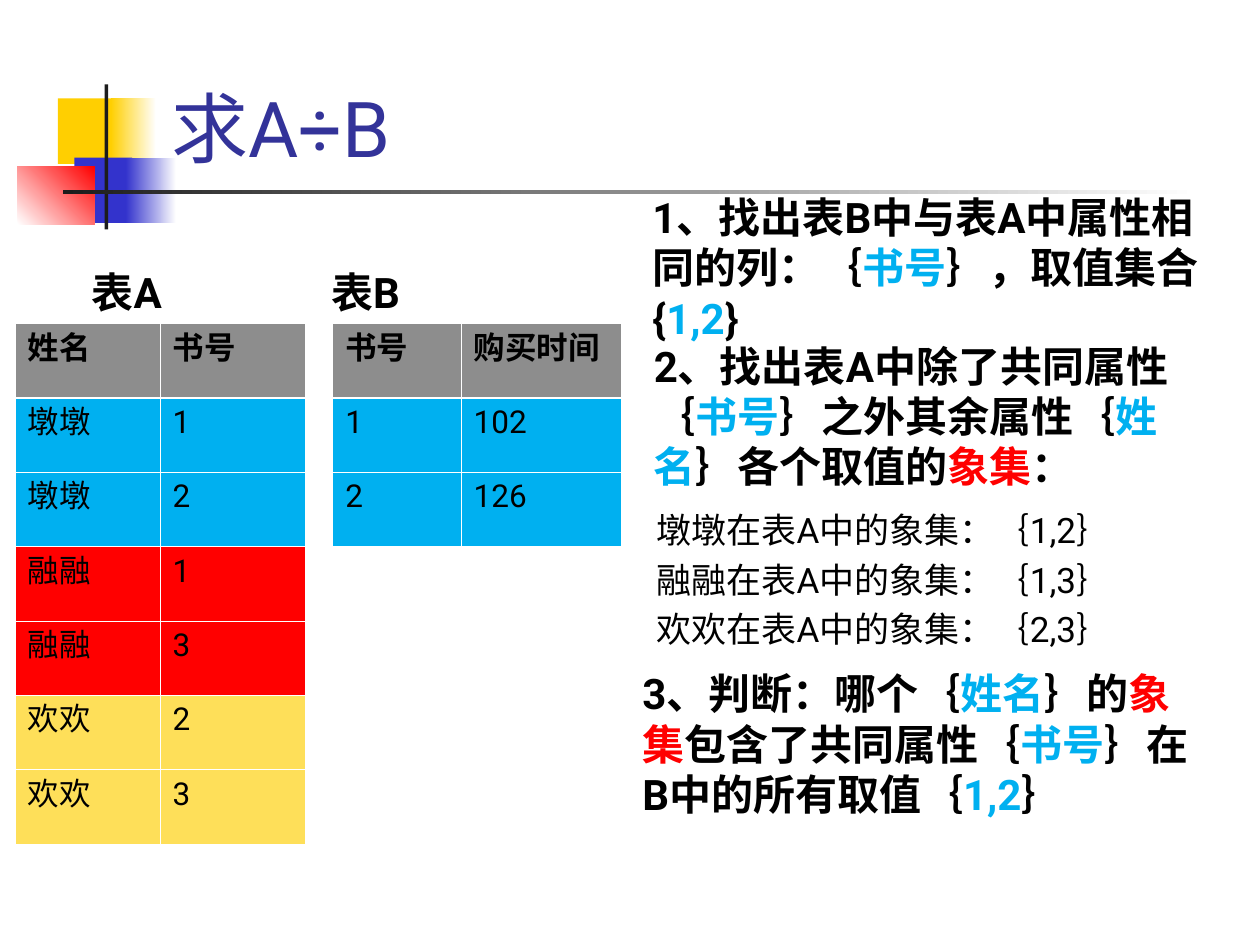
from dataclasses import dataclass
from typing import NamedTuple, Optional

from lxml import etree
from pptx import Presentation
from pptx.dml.color import RGBColor
from pptx.enum.shapes import MSO_SHAPE
from pptx.enum.text import MSO_ANCHOR, MSO_AUTO_SIZE
from pptx.oxml.ns import qn
from pptx.util import Inches, Pt

RECTANGLE = MSO_SHAPE.RECTANGLE
TOP, BOTTOM = MSO_ANCHOR.TOP, MSO_ANCHOR.BOTTOM
GROW, FIXED = MSO_AUTO_SIZE.SHAPE_TO_FIT_TEXT, MSO_AUTO_SIZE.NONE

SLIDE_WIDTH, SLIDE_HEIGHT = Inches(10), Inches(7.5)
COLUMNS, ROWS = 100, 75


@dataclass(frozen=True)
class Theme:
    font: str = "Roboto"
    title_size: int = 44
    body_size: int = 24
    detail_size: int = 20
    table_size: int = 18
    thin: float = 0.45
    thick: float = 1.47
    title: str = "333399"
    black: str = "000000"
    white: str = "FFFFFF"
    charcoal: str = "1C1C1C"
    gold: str = "FFCF01"
    indigo: str = "3333CC"
    red: str = "FF0000"
    blue: str = "00B0F0"
    yellow: str = "FEDF59"
    gray: str = "8D8D8D"


THEME = Theme()


class Area(NamedTuple):
    """Left, top, width and height in grid columns and rows."""
    left: float
    top: float
    width: float
    height: float

    def lengths(self) -> tuple:
        across, down = SLIDE_WIDTH / COLUMNS, SLIDE_HEIGHT / ROWS
        return (round(self.left * across), round(self.top * down),
                round(self.width * across), round(self.height * down))


class Block(NamedTuple):
    area: Area
    colour: str
    fade_to: Optional[str] = None
    angle: float = 0


class Span(NamedTuple):
    text: str
    colour: str = THEME.black


class Record(NamedTuple):
    values: tuple
    colour: str


class Relation(NamedTuple):
    name: str
    label_left: float
    left: float
    widths: tuple
    header: tuple
    records: list


class Step(NamedTuple):
    area: Area
    spans: list


BLOCKS = [
    Block(Area(4.6, 7.8, 4.8, 5.2), THEME.gold),
    Block(Area(8.8, 7.8, 3.6, 5.2), THEME.gold, THEME.white),
    Block(Area(5.9, 12.5, 4.6, 5.2), THEME.indigo),
    Block(Area(10, 12.5, 4, 5.2), THEME.indigo, THEME.white),
    Block(Area(1.4, 13.2, 6.1, 4.6), THEME.white, THEME.red, 45),
    Block(Area(8.3, 6.7, 0.3, 11.5), THEME.charcoal),
    Block(Area(5, 15.1, 90, 0.3), THEME.charcoal, THEME.white),
]

LABEL_TOP, TABLE_TOP, TABLE_ROW = 20.7, 25.7, 5.9
RELATIONS = [
    Relation("表A", 6.3, 1.2, (11.5, 11.5), ("姓名", "书号"), [
        Record((name, number), colour)
        for name, numbers, colour in (("墩墩", "12", THEME.blue),
                                      ("融融", "13", THEME.red),
                                      ("欢欢", "23", THEME.yellow))
        for number in numbers]),
    Relation("表B", 25.3, 26.4, (10.2, 12.7), ("书号", "购买时间"), [
        Record(("1", "102"), THEME.blue), Record(("2", "126"), THEME.blue)]),
]

BOOK, NAME = Span("书号", THEME.blue), Span("姓名", THEME.blue)
VALUES, IMAGE_SET = Span("1,2", THEME.blue), Span("象集", THEME.red)
STEPS = [
    Step(Area(50.8, 14.7, 47.3, 13), [
        Span("1、找出表B中与表A中属性相同的列：｛"), BOOK, Span("｝，取值集合{"),
        VALUES, Span("}")]),
    Step(Area(50.9, 26.5, 47.2, 13), [
        Span("2、找出表A中除了共同属性｛"), BOOK, Span("｝之外其余属性｛"), NAME,
        Span("｝各个取值的"), IMAGE_SET, Span("：")]),
    Step(Area(50, 52.5, 46.6, 13), [
        Span("3、判断：哪个｛"), NAME, Span("｝的"), IMAGE_SET,
        Span("包含了共同属性｛"), BOOK, Span("｝在B中的所有取值｛"), VALUES,
        Span("｝")]),
]

IMAGE_SETS = [("墩墩", "1,2"), ("融融", "1,3"), ("欢欢", "2,3")]
IMAGE_SETS_TOP, IMAGE_SETS_GAP = 39.9, 3.9


def rgb(colour: str) -> RGBColor:
    return RGBColor.from_string(colour)


def write_spans(para, spans: list, *, size: float, bold: bool = False) -> None:
    for span in spans:
        run = para.add_run()
        run.text = span.text
        font = run.font
        font.name, font.size, font.bold = THEME.font, Pt(size), bold
        font.color.rgb = rgb(span.colour)
        east_asian = etree.SubElement(run._r.get_or_add_rPr(), qn("a:ea"))
        east_asian.set("typeface", THEME.font)


def add_text(page, area: Area, spans: list, *, size: float, bold: bool = False,
             wrap: bool = True, anchor=TOP, fit=GROW) -> None:
    box = page.shapes.add_textbox(*area.lengths())
    frame = box.text_frame
    frame.word_wrap, frame.auto_size = wrap, fit
    frame.vertical_anchor = anchor
    write_spans(frame.paragraphs[0], spans, size=size, bold=bold)


def add_block(page, block: Block) -> None:
    shape = page.shapes.add_shape(RECTANGLE, *block.area.lengths())
    shape.shadow.inherit = False
    shape.line.fill.background()
    if block.fade_to is None:
        shape.fill.solid()
        shape.fill.fore_color.rgb = rgb(block.colour)
        return
    shape.fill.gradient()
    shape.fill.gradient_angle = block.angle
    for stop, colour in zip(shape.fill.gradient_stops,
                            (block.colour, block.fade_to)):
        stop.color.rgb = rgb(colour)


def set_borders(cell, **widths: float) -> None:
    """Draw white cell borders; lines come before the fill in the XML."""
    properties = cell._tc.get_or_add_tcPr()
    for position, (side, width) in enumerate(widths.items()):
        line = etree.Element(qn(f"a:{side}"), w=str(int(Pt(width))))
        fill = etree.SubElement(line, qn("a:solidFill"))
        etree.SubElement(fill, qn("a:srgbClr"), val=THEME.white)
        properties.insert(position, line)


def add_relation(page, relation: Relation) -> None:
    add_text(page, Area(relation.label_left, LABEL_TOP, 8.4, 5),
             [Span(relation.name)], size=THEME.body_size, bold=True, wrap=False)
    records = [Record(relation.header, THEME.gray), *relation.records]
    area = Area(relation.left, TABLE_TOP, sum(relation.widths),
                TABLE_ROW * len(records))
    table = page.shapes.add_table(len(records), len(relation.widths),
                                  *area.lengths()).table
    for column, width in zip(table.columns, relation.widths):
        column.width = round(width * SLIDE_WIDTH / COLUMNS)
    for row, record in enumerate(records):
        for column, value in enumerate(record.values):
            cell = table.cell(row, column)
            cell.fill.solid()
            cell.fill.fore_color.rgb = rgb(record.colour)
            set_borders(cell, lnL=THEME.thin, lnR=THEME.thin,
                        lnT=THEME.thick if row == 1 else THEME.thin,
                        lnB=THEME.thick if row == 0 else THEME.thin)
            write_spans(cell.text_frame.paragraphs[0], [Span(value)],
                        size=THEME.table_size, bold=row == 0)


def main() -> None:
    deck = Presentation()
    deck.slide_width, deck.slide_height = SLIDE_WIDTH, SLIDE_HEIGHT
    page = deck.slides.add_slide(deck.slide_layouts[6])
    for block in BLOCKS:
        add_block(page, block)
    add_text(page, Area(12.6, 4.2, 85.2, 10), [Span("求A÷B", THEME.title)],
             size=THEME.title_size, anchor=BOTTOM, fit=FIXED)
    for relation in RELATIONS:
        add_relation(page, relation)
    for step in STEPS:
        add_text(page, step.area, step.spans, size=THEME.body_size, bold=True)
    for index, (name, values) in enumerate(IMAGE_SETS):
        top = IMAGE_SETS_TOP + index * IMAGE_SETS_GAP
        add_text(page, Area(51.1, top, 47.1, 4.4),
                 [Span(f"{name}在表A中的象集：｛{values}｝")], size=THEME.detail_size)
    deck.save("out.pptx")


if __name__ == "__main__":
    main()
